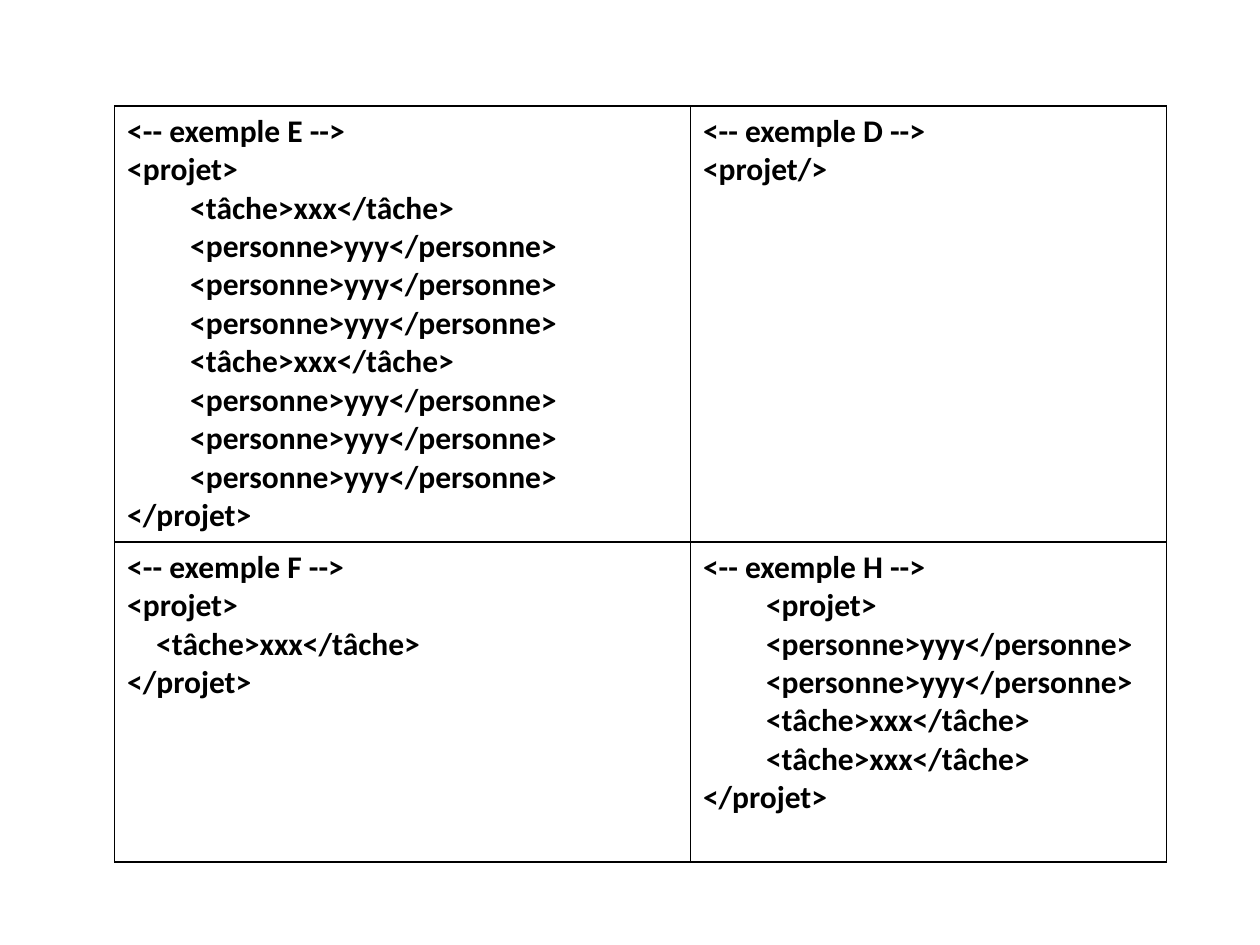
from pptx import Presentation
from pptx.dml.color import RGBColor
from pptx.oxml import parse_xml
from pptx.oxml.ns import nsdecls
from pptx.util import Inches, Pt

BLACK = RGBColor(0, 0, 0)
FONT, SIZE = "Calibri", Pt(18)

# Content: each cell lists paragraphs as (indent in inches, lines)
TASK = "<tâche>xxx</tâche>"
PERSON = "<personne>yyy</personne>"
OPEN, CLOSE = (0, ["<projet>"]), (0, ["</projet>"])
CELLS = [
    [
        [(0, ["<-- exemple E -->"]), OPEN,
         (0.5, [TASK, PERSON, PERSON, PERSON] * 2), CLOSE],
        [(0, ["<-- exemple D -->"]), (0, ["<projet/>"])],
    ],
    [
        [(0, ["<-- exemple F -->"]), OPEN, (0.23, [TASK]), CLOSE],
        [(0, ["<-- exemple H -->"]),
         (0.5, ["<projet>", PERSON, PERSON, TASK, TASK]), CLOSE],
    ],
]
LEFT, TOP = 0.91, 0.84
COLS, ROWS = [4.57, 3.78], [3.46, 2.54]


def add_text(cell, paras):
    frame = cell.text_frame
    for i, (indent, lines) in enumerate(paras):
        para = frame.paragraphs[0] if i == 0 else frame.add_paragraph()
        if indent:
            props = para._p.get_or_add_pPr()
            props.set("marL", str(Inches(indent)))
            props.set("indent", "0")
        for j, line in enumerate(lines):
            if j:
                para.add_line_break()
            run = para.add_run()
            run.text = line
            font = run.font
            font.name, font.size, font.bold = FONT, SIZE, True
            font.color.rgb = BLACK
        # Line breaks take the same size as the text
        for brk in para._p.findall("{*}br"):
            brk.append(parse_xml(
                f'<a:rPr {nsdecls("a")} sz="{int(SIZE.pt * 100)}" b="1"/>'))


def add_border(cell):
    props = cell._tc.get_or_add_tcPr()
    for i, side in enumerate(("lnL", "lnR", "lnT", "lnB")):
        props.insert(i, parse_xml(
            f'<a:{side} {nsdecls("a")} w="{Pt(1)}"><a:solidFill>'
            f'<a:srgbClr val="{BLACK}"/></a:solidFill></a:{side}>'))


# Slide
deck = Presentation()
deck.slide_width, deck.slide_height = Inches(10), Inches(7.5)
slide = deck.slides.add_slide(deck.slide_layouts[6])

# Table of examples
table = slide.shapes.add_table(
    len(ROWS), len(COLS), Inches(LEFT), Inches(TOP),
    Inches(sum(COLS)), Inches(sum(ROWS))).table
table.first_row = table.horz_banding = False
for col, width in zip(table.columns, COLS):
    col.width = Inches(width)
for row, height, texts in zip(table.rows, ROWS, CELLS):
    row.height = Inches(height)
    for cell, paras in zip(row.cells, texts):
        cell.fill.background()
        add_border(cell)
        add_text(cell, paras)

deck.save("out.pptx")
